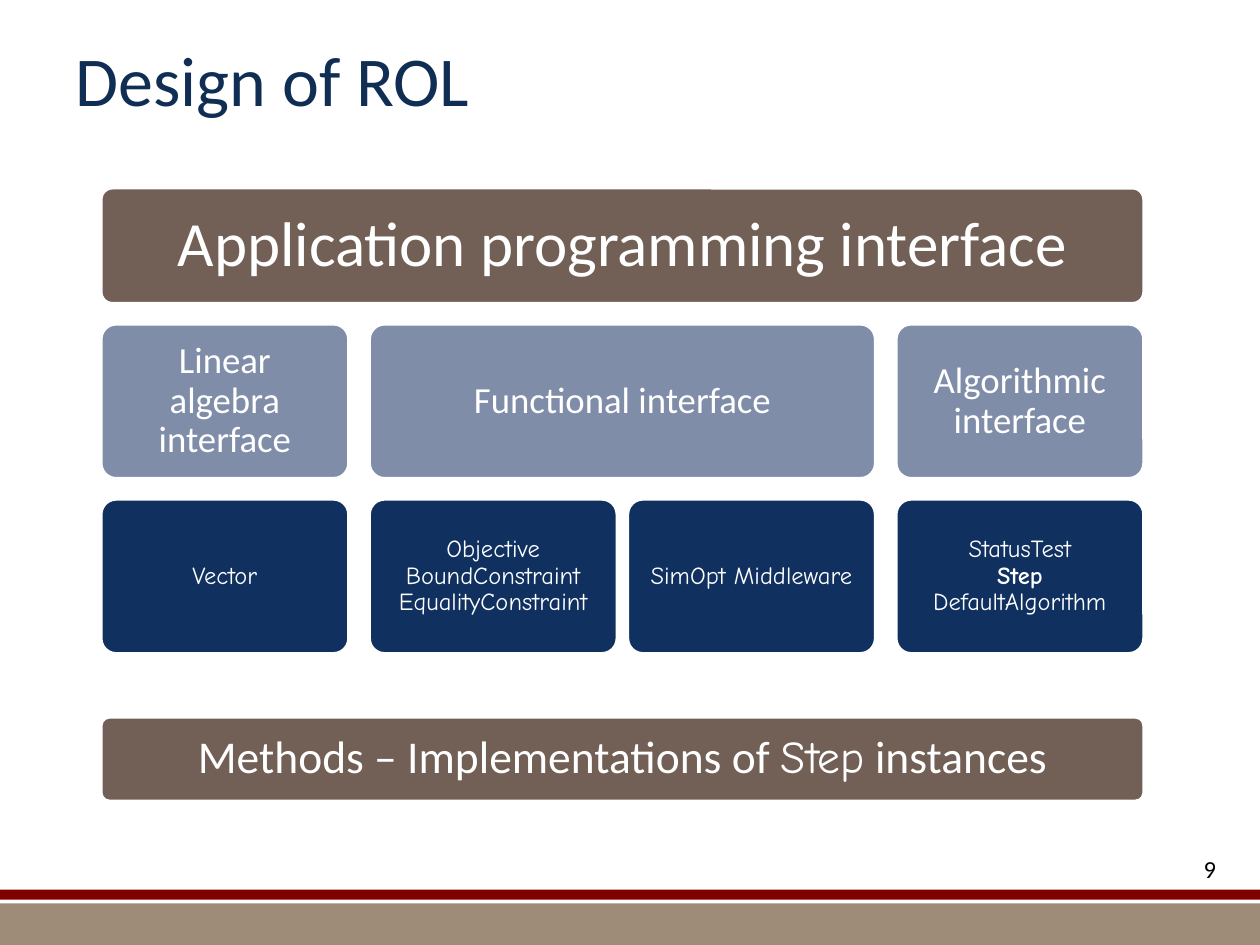
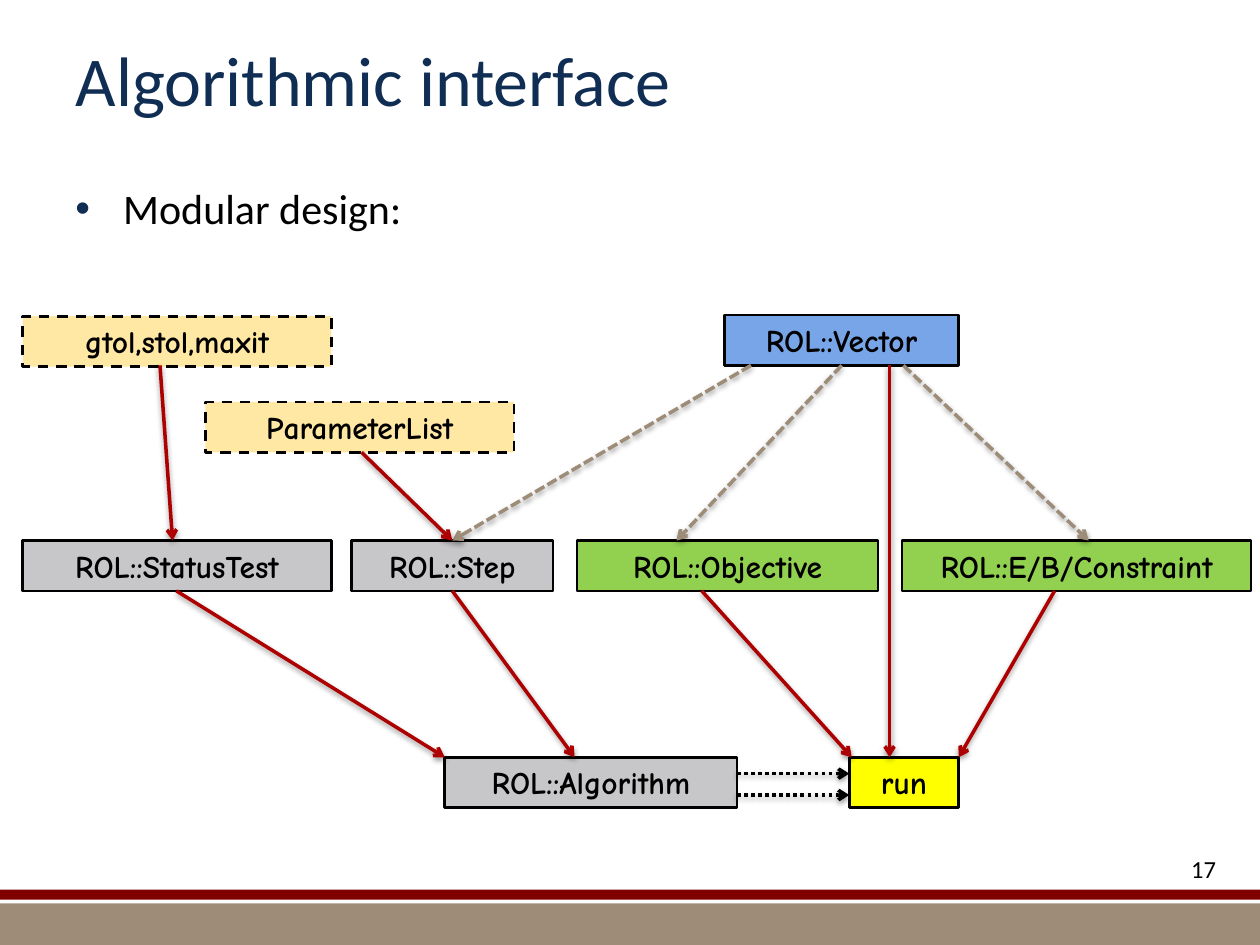
from dataclasses import dataclass
from lxml import etree
from pptx import Presentation, util as u
from pptx.dml.color import RGBColor
from pptx.enum import dml, shapes, text as tx
from pptx.oxml import parse_xml
from pptx.oxml.ns import qn, nsdecls


@dataclass(frozen=True)
class Theme:
    navy: str = "102E54"
    deep: str = "103160"
    slate: str = "808DA9"
    brown: str = "726056"
    tan: str = "9E8C78"
    maroon: str = "800000"
    red: str = "AD0101"
    dust: str = "9D8C78"
    blue: str = "77A5E8"
    green: str = "92D050"
    gray: str = "C7C7CA"
    amber: str = "FFC000"
    yellow: str = "FFFF00"
    white: str = "FFFFFF"
    black: str = "000000"
    sans: str = "Calibri"
    comic: str = "Comic Neue"
    title: int = 40
    head: int = 36
    method: int = 26
    body: int = 24
    group: int = 21
    node: int = 18
    small: int = 14


T = Theme()
RECT = shapes.MSO_SHAPE.RECTANGLE
ROUND = shapes.MSO_SHAPE.ROUNDED_RECTANGLE
DASH = dml.MSO_LINE
TOP, MID = tx.MSO_ANCHOR.TOP, tx.MSO_ANCHOR.MIDDLE
LEFT, CENTER, RIGHT = tx.PP_ALIGN.LEFT, tx.PP_ALIGN.CENTER, tx.PP_ALIGN.RIGHT


def put(slide, runs, box, kind=None, shape=None, fill=None, alpha=None, line=None,
        width=1.5, dash=None, size=T.node, font=T.sans, color=T.black, bold=False,
        align=CENTER, anchor=MID, inset=None, lead=None):
    """Place text in a given shape, a new preset shape or a text box."""
    box = [u.Inches(v) for v in box]
    if shape is not None:
        shape.left, shape.top, shape.width, shape.height = box
    elif kind is None:
        shape = slide.shapes.add_textbox(*box)
    else:
        shape = slide.shapes.add_shape(kind, *box)
        shape.shadow.inherit = False
        if kind == ROUND:
            shape.adjustments[0] = 0.1
        shape.fill.solid()
        shape.fill.fore_color.rgb = RGBColor.from_string(fill)
        if alpha:
            tone = shape._element.spPr.find(".//" + qn("a:srgbClr"))
            etree.SubElement(tone, qn("a:alpha"), val=str(alpha * 1000))
        if line:
            shape.line.color.rgb = RGBColor.from_string(line)
            shape.line.width = u.Pt(width)
            if dash:
                shape.line.dash_style = dash
        else:
            shape.line.fill.background()
    frame = shape.text_frame
    frame.word_wrap = True
    frame.auto_size = tx.MSO_AUTO_SIZE.NONE
    frame.vertical_anchor = anchor
    if inset is not None:
        frame.margin_left = frame.margin_right = u.Inches(inset)
        frame.margin_top = frame.margin_bottom = u.Inches(inset)
    para = frame.paragraphs[0]
    para.alignment = align
    if lead:
        para.line_spacing = lead
    # A run is a string, or a string with its own format
    for item in [runs] if isinstance(runs, str) else runs:
        words, own = (item, {}) if isinstance(item, str) else item
        for i, row in enumerate(words.split("\n")):
            if i:
                para.add_line_break()
            if not row:
                continue
            run = para.add_run()
            run.text = row
            run.font.size = u.Pt(size)
            run.font.name = own.get("font", font)
            run.font.bold = own.get("bold", bold)
            run.font.color.rgb = RGBColor.from_string(color)
    return shape


def link(slide, start, end, color, dash=None):
    """Draw a shadowed arrow between two points."""
    wire = slide.shapes.add_connector(shapes.MSO_CONNECTOR.STRAIGHT,
                                      *[u.Inches(v) for v in (*start, *end)])
    wire.line.color.rgb = RGBColor.from_string(color)
    wire.line.width = u.Pt(2)
    if dash:
        wire.line.dash_style = dash
    etree.SubElement(wire.get_or_add_ln(), qn("a:tailEnd"), type="arrow")
    wire._element.spPr.append(parse_xml(
        f'<a:effectLst {nsdecls("a")}><a:outerShdw blurRad="40000" dist="20000" '
        'dir="5400000" rotWithShape="0"><a:srgbClr val="000000">'
        '<a:alpha val="38000"/></a:srgbClr></a:outerShdw></a:effectLst>'))


deck = Presentation()
deck.slide_width, deck.slide_height = u.Inches(10), u.Inches(7.5)

# Shared frame: bands, title, page number
pages = []
for name, num in (("Design of ROL", "9"), ("Algorithmic interface", "17")):
    page = deck.slides.add_slide(deck.slide_layouts[5])
    put(page, "", (0, 7.17, 10, 0.33), kind=RECT, fill=T.tan)
    put(page, "", (0, 7.06, 10, 0.08), kind=RECT, fill=T.maroon)
    put(page, name, (0.5, 0.08, 9, 1.08), shape=page.shapes.title,
        size=T.title, color=T.navy, align=LEFT)
    put(page, num, (9.08, 6.73, 0.67, 0.41), size=T.small, align=RIGHT, anchor=TOP)
    pages.append(page)
design, flow = pages

# Design: four columns, the middle two paired by a narrower gap
wide, gap, slim = 1.97, 0.16, 0.08
cols = [0.8, 0.8 + wide + gap]
cols += [cols[1] + wide + slim, cols[1] + 2 * wide + slim + gap]
full = cols[3] + wide - cols[0]
tall = 1.23
upper = 2.57
lower = upper + tall + gap
tile = dict(kind=ROUND, line=T.white, width=2, color=T.white, lead=0.9)

put(design, "Application programming interface", (cols[0], 1.49, full, 0.92),
    fill=T.brown, size=T.head, inset=0.17, **tile)

for col, span, words in ((0, wide, "Linear algebra interface"),
                         (1, 2 * wide + slim, "Functional interface"),
                         (3, wide, "Algorithmic interface")):
    put(design, words, (cols[col], upper, span, tall), fill=T.slate,
        size=T.group, inset=0.12, **tile)

items = ("Vector", "Objective\nBoundConstraint\nEqualityConstraint", "SimOpt Middleware",
         ["StatusTest\n", ("Step", {"bold": True}), "\nDefaultAlgorithm"])
for left, words in zip(cols, items):
    put(design, words, (left, lower, wide, tall), fill=T.deep, size=T.small,
        font=T.comic, inset=0.09, **tile)

put(design, ["Methods – Implementations of ", ("Step", {"font": T.comic}), " instances"],
    (cols[0], 5.69, full, 0.67), fill=T.brown, size=T.method, inset=0.13, **tile)

# Flow: bullet line
note = put(flow, "Modular design:", (0.5, 1.4, 9, 0.6), size=T.body, align=LEFT,
           anchor=TOP)
para = note.text_frame.paragraphs[0]
para.space_before = u.Pt(0.2 * T.body)
props = para._p.get_or_add_pPr()
props.set("marL", str(u.Inches(0.38)))
props.set("indent", str(-u.Inches(0.38)))
tint = etree.SubElement(props, qn("a:buClr"))
etree.SubElement(tint, qn("a:srgbClr"), val=T.navy)
etree.SubElement(props, qn("a:buFont"), typeface="Arial")
etree.SubElement(props, qn("a:buChar"), char="•")

# Flow: nodes on four rows
top, second, mid, base = 2.5, 3.19, 4.29, 6.01
high = 0.4
soft = dict(alpha=36, dash=DASH.DASH)
for words, left, row, span, fill, look in (
        ("ROL::Vector", 5.75, top, 1.86, T.blue, {}),
        ("ROL::StatusTest", 0.18, mid, 2.45, T.gray, {}),
        ("ROL::Step", 2.79, mid, 1.6, T.gray, {}),
        ("ROL::Objective", 4.58, mid, 2.39, T.green, {}),
        ("ROL::E/B/Constraint", 7.16, mid, 2.77, T.green, {}),
        ("ROL::Algorithm", 3.53, base, 2.32, T.gray, {}),
        ("run", 6.74, base, 0.87, T.yellow, {}),
        ("gtol,stol,maxit", 0.18, top + 0.01, 2.45, T.amber, soft),
        ("ParameterList", 1.63, second, 2.45, T.amber, soft)):
    put(flow, words, (left, row, span, high), kind=RECT, fill=fill, line=T.black,
        font=T.comic, bold=True, **look)

# Flow: arrows run from the foot of one row to the head of another
for x, end in ((5.96, 3.59), (6.68, 5.37), (7.17, 8.64)):
    link(flow, (x, top + high), (end, mid), T.dust, DASH.SQUARE_DOT)
for x, row, end, goal in ((1.27, top, 1.37, mid), (2.87, second, 3.59, mid),
                          (1.4, mid, 3.53, base), (3.59, mid, 4.56, base),
                          (5.57, mid, 6.76, base), (8.37, mid, 7.61, base),
                          (7.06, top, 7.06, base)):
    link(flow, (x, row + high), (end, goal), T.red)
for y in (base + 0.13, base + 0.3):
    link(flow, (5.85, y), (6.74, y), T.black, DASH.ROUND_DOT)

deck.save("out.pptx")
